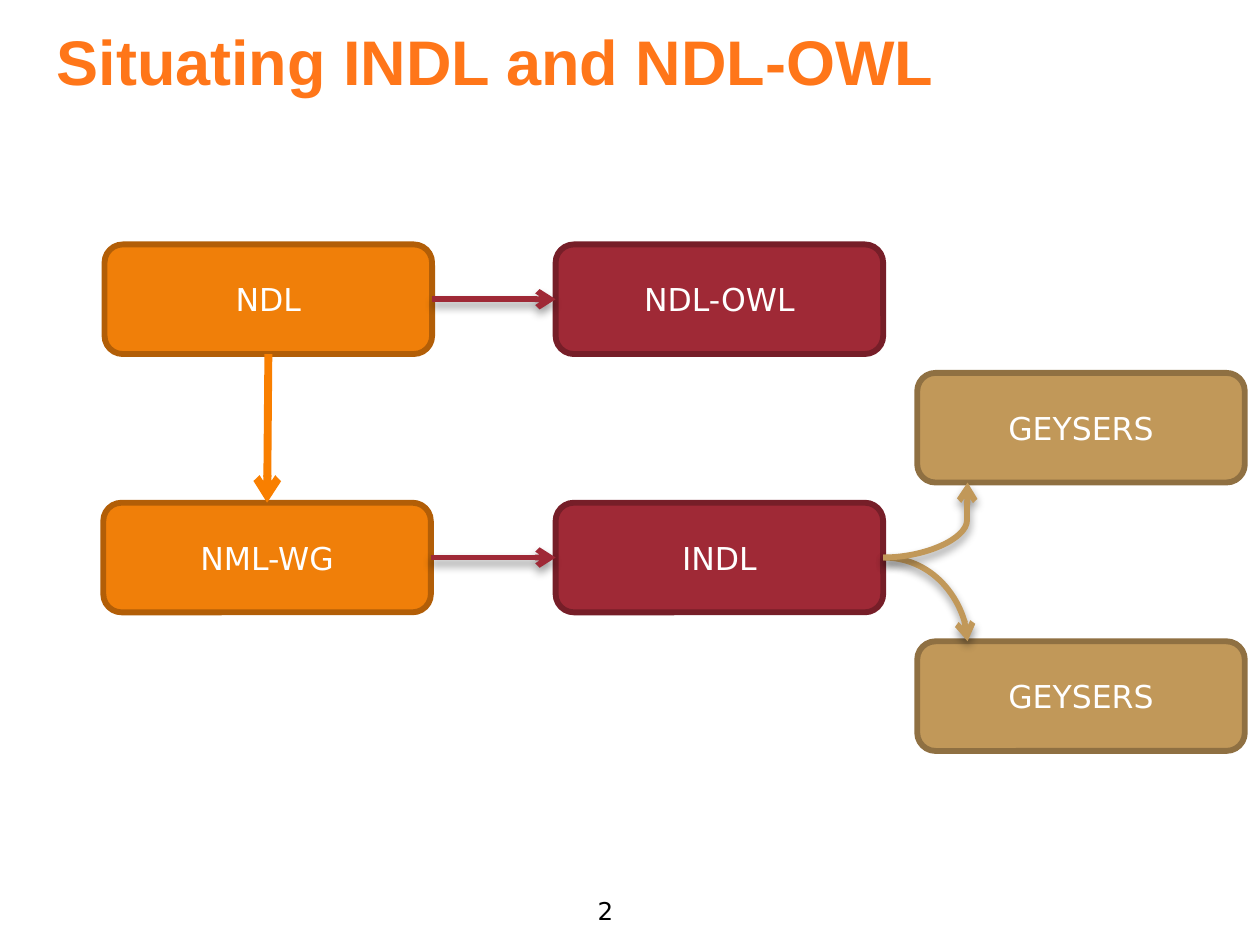
from dataclasses import dataclass

from lxml.etree import SubElement
from pptx import Presentation
from pptx.dml.color import RGBColor
from pptx.enum.shapes import MSO_CONNECTOR as Link, MSO_SHAPE as Shape
from pptx.enum.text import MSO_ANCHOR as Anchor, MSO_AUTO_SIZE as AutoSize, PP_ALIGN as Align
from pptx.oxml.ns import qn
from pptx.util import Pt


@dataclass(frozen=True)
class Theme:
    title: str = "FF7619"
    text: str = "000000"
    node_text: str = "FFFFFF"
    orange: tuple = ("F07F09", "B25E07")  # fill, outline
    red: tuple = ("9F2936", "761E28")
    tan: tuple = ("C19859", "8F7042")
    down_arrow: str = "F97F00"
    title_font: str = "Arial"
    body_font: str = "DejaVu Sans"
    title_size: int = 36
    node_size: int = 18
    number_size: int = 14
    line: float = 3.35
    heavy_line: float = 4.5


THEME = Theme()
NODE_W, NODE_H = 187.2, 62.64


def rgb(code):
    return RGBColor.from_string(code)


def write(frame, text, *, size, color, font=THEME.body_font, bold=False,
          align=Align.CENTER, anchor=Anchor.MIDDLE):
    frame.word_wrap = True
    frame.auto_size = AutoSize.NONE
    frame.vertical_anchor = anchor
    line = frame.paragraphs[0]
    line.alignment = align
    run = line.add_run()
    run.text = text
    run.font.name, run.font.size, run.font.bold = font, Pt(size), bold
    run.font.color.rgb = rgb(color)


def place_title(slide, text, left, top, width, height):
    title = slide.shapes.title
    title.left, title.top, title.width, title.height = map(Pt, (left, top, width, height))
    write(title.text_frame, text, size=THEME.title_size, color=THEME.title,
          font=THEME.title_font, bold=True, align=Align.LEFT, anchor=Anchor.BOTTOM)


def place_page_number(slide, number, left, top, width, height):
    box = slide.shapes.add_textbox(*map(Pt, (left, top, width, height)))
    write(box.text_frame, number, size=THEME.number_size, color=THEME.text,
          anchor=Anchor.TOP)


def add_node(slide, text, colors, left, top):
    node = slide.shapes.add_shape(Shape.ROUNDED_RECTANGLE,
                                  *map(Pt, (left, top, NODE_W, NODE_H)))
    fill, outline = colors
    node.shadow.inherit = False
    node.fill.solid()
    node.fill.fore_color.rgb = rgb(fill)
    node.line.color.rgb = rgb(outline)
    node.line.width = Pt(THEME.line)
    write(node.text_frame, text, size=THEME.node_size, color=THEME.node_text)
    return node


def style_arrow(arrow, color, width=THEME.line, shadow=True):
    arrow.line.color.rgb = rgb(color)
    arrow.line.width = Pt(width)
    SubElement(arrow.line._get_or_add_ln(), qn("a:tailEnd"), type="arrow")
    effects = SubElement(arrow._element.spPr, qn("a:effectLst"))
    if shadow:
        outer = SubElement(effects, qn("a:outerShdw"), blurRad=str(Pt(5.2)),
                           dist=str(Pt(3)), dir="5400000", rotWithShape="0")
        black = SubElement(outer, qn("a:srgbClr"), val="000000")
        SubElement(black, qn("a:alpha"), val="40000")


def join(slide, start, start_side, end, end_side, color, **style):
    """Straight arrow between the middles of two node sides."""
    arrow = slide.shapes.add_connector(Link.STRAIGHT, 0, 0, 0, 0)
    arrow.begin_connect(start, start_side)
    arrow.end_connect(end, end_side)
    style_arrow(arrow, color, **style)


def curve(slide, start, end_x, end_y, preset, bend=None):
    """Curved arrow from the right side of a node to a point."""
    arrow = slide.shapes.add_connector(
        Link.CURVE, start.left + start.width, start.top + start.height // 2,
        Pt(end_x), Pt(end_y))
    geometry = arrow._element.spPr.find(qn("a:prstGeom"))
    geometry.set("prst", preset)
    if bend is not None:
        SubElement(geometry.find(qn("a:avLst")), qn("a:gd"),
                   name="adj1", fmla=f"val {bend}")
    style_arrow(arrow, THEME.tan[0])


def place_diagram(slide, left, top):
    lower = top + 147.6
    middle, right = left + 258.48, left + 465.12
    upper_user, lower_user = top + 73.44, top + 226.8

    ndl = add_node(slide, "NDL", THEME.orange, left + 0.72, top)
    nml = add_node(slide, "NML-WG", THEME.orange, left, lower)
    ndl_owl = add_node(slide, "NDL-OWL", THEME.red, middle, top)
    indl = add_node(slide, "INDL", THEME.red, middle, lower)
    for source, target in ((ndl, ndl_owl), (nml, indl)):
        join(slide, source, 3, target, 1, THEME.red[0])
    join(slide, ndl, 2, nml, 0, THEME.down_arrow, width=THEME.heavy_line, shadow=False)

    for user_top in (upper_user, lower_user):
        add_node(slide, "GEYSERS", THEME.tan, right, user_top)
    entry = right + 28.8
    curve(slide, indl, entry, lower_user, "curvedConnector2")
    curve(slide, indl, entry, upper_user + NODE_H, "curvedConnector3", bend=99300)


def main():
    deck = Presentation()
    deck.slide_width, deck.slide_height = Pt(720), Pt(540)
    slide = deck.slides.add_slide(deck.slide_layouts.get_by_name("Title Only"))
    place_page_number(slide, "2", 314.64, 508.32, 62.64, 24.48)
    place_title(slide, "Situating INDL and NDL-OWL", 25.2, 2.16, 674.64, 57.6)
    place_diagram(slide, 59.04, 139.68)
    deck.save("out.pptx")


if __name__ == "__main__":
    main()
